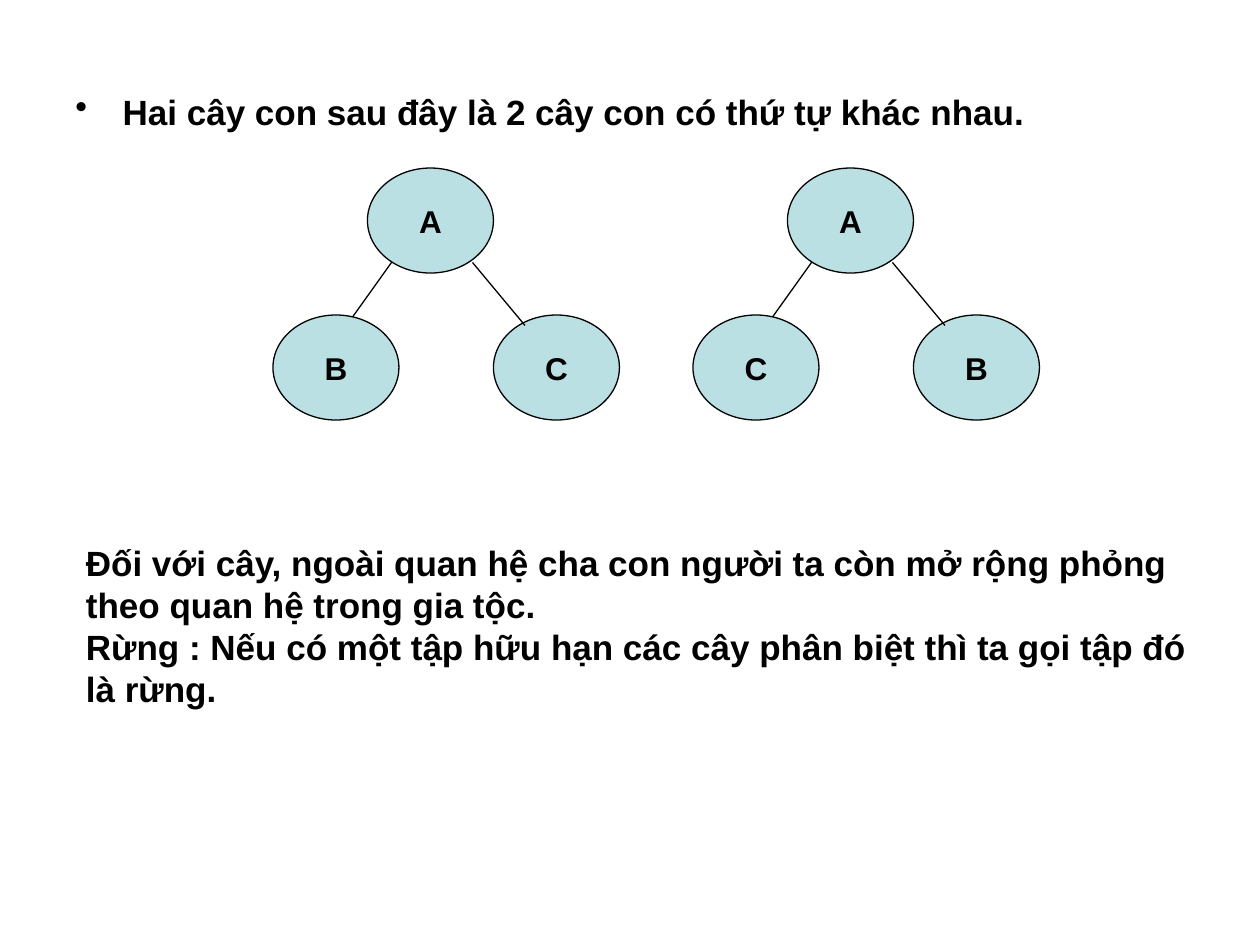
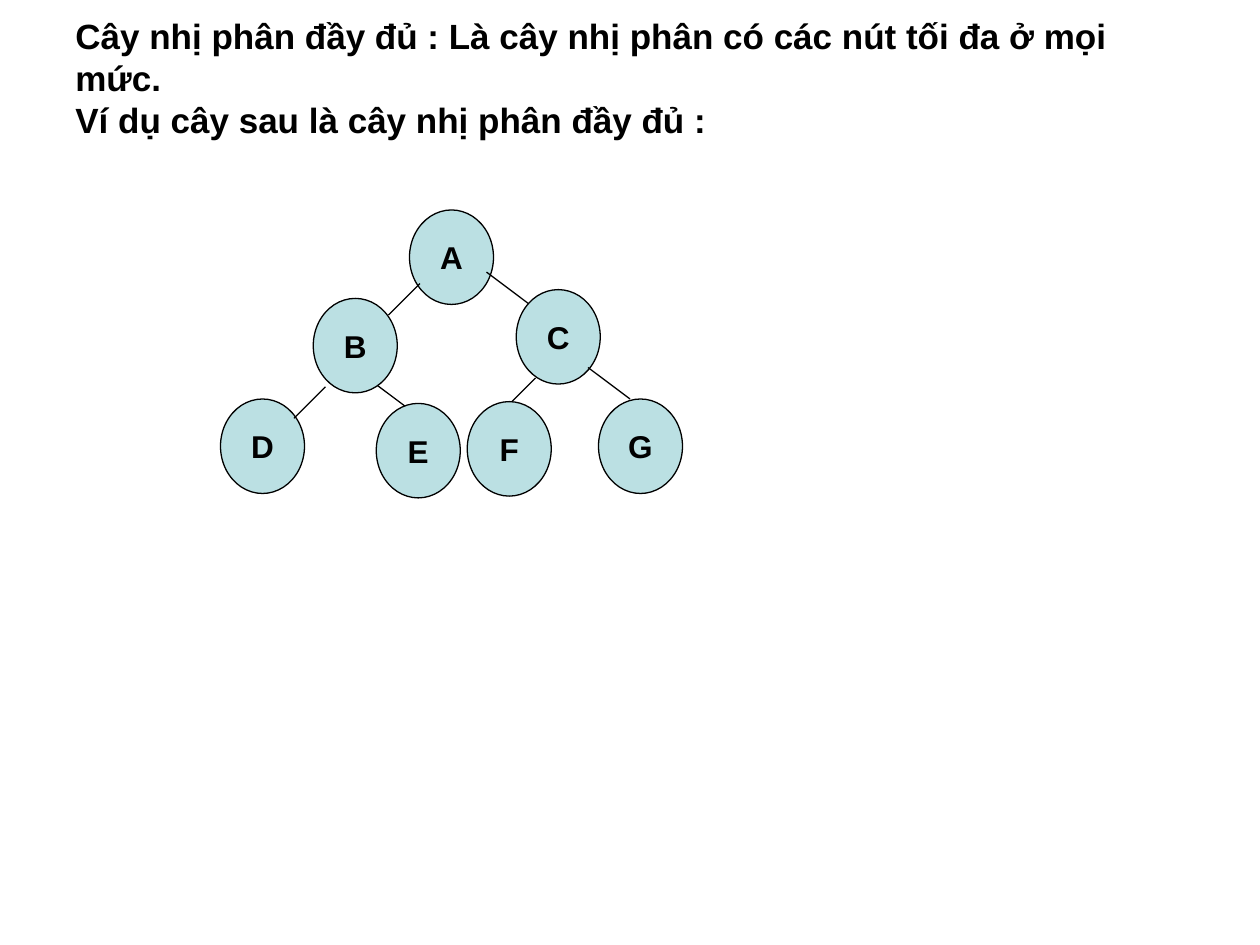
from dataclasses import dataclass

from lxml import etree
from pptx import Presentation
from pptx.dml.color import RGBColor
from pptx.enum.shapes import MSO_CONNECTOR, MSO_SHAPE
from pptx.enum.text import MSO_ANCHOR, MSO_AUTO_SIZE, PP_ALIGN
from pptx.oxml.ns import qn
from pptx.util import Pt

ELLIPSE = MSO_SHAPE.OVAL
STRAIGHT = MSO_CONNECTOR.STRAIGHT
TOP, MIDDLE = MSO_ANCHOR.TOP, MSO_ANCHOR.MIDDLE
LEFT, CENTER = PP_ALIGN.LEFT, PP_ALIGN.CENTER
NO_FIT, GROW = MSO_AUTO_SIZE.NONE, MSO_AUTO_SIZE.SHAPE_TO_FIT_TEXT


@dataclass(frozen=True)
class Theme:
    """Colours, font and sizes shared by the slides."""

    ink: RGBColor = RGBColor(0, 0, 0)
    node: RGBColor = RGBColor(0xBB, 0xE0, 0xE3)
    font: str = "Arial"
    body_size: float = 20
    node_size: float = 18
    line_width: float = 0.75
    bullet_indent: float = 27
    bullet_space: float = 5


@dataclass(frozen=True)
class TreeStyle:
    """Size of a node and reach of the left and right branches."""

    node: tuple
    left: tuple
    right: tuple


THEME = Theme()
WIDE_TREE = TreeStyle(node=(72, 60), left=(-30, 42), right=(30, 36))
FULL_TREE = TreeStyle(node=(48, 54), left=(-18, 18), right=(24, 18))


def write_text(shape, text, size=THEME.body_size, align=LEFT, anchor=TOP,
               wrap=True, fit=NO_FIT, bullet=False):
    """Fill a shape with bold text, one paragraph a line."""
    frame = shape.text_frame
    frame.word_wrap = wrap
    frame.auto_size = fit
    frame.vertical_anchor = anchor
    for index, line in enumerate(text.split("\n")):
        paragraph = frame.add_paragraph() if index else frame.paragraphs[0]
        paragraph.text = line
        paragraph.alignment = align
        if bullet:
            add_bullet(paragraph)
        for run in paragraph.runs:
            run.font.name = THEME.font
            run.font.size = Pt(size)
            run.font.bold = True
            run.font.color.rgb = THEME.ink


def add_bullet(paragraph):
    """Give a paragraph a round bullet with a hanging indent."""
    paragraph.space_before = Pt(THEME.bullet_space)
    properties = paragraph._p.get_or_add_pPr()
    properties.set("marL", str(Pt(THEME.bullet_indent)))
    properties.set("indent", str(-Pt(THEME.bullet_indent)))
    etree.SubElement(properties, qn("a:buChar")).set("char", "•")


def add_text(slide, box, text, **text_format):
    """Place a text box."""
    shape = slide.shapes.add_textbox(*map(Pt, box))
    write_text(shape, text, **text_format)


def add_node(group, box, label):
    """Draw a labelled ellipse."""
    shape = group.shapes.add_shape(ELLIPSE, *map(Pt, box))
    shape.shadow.inherit = False
    shape.fill.solid()
    shape.fill.fore_color.rgb = THEME.node
    shape.line.color.rgb = THEME.ink
    shape.line.width = Pt(THEME.line_width)
    write_text(shape, label, size=THEME.node_size, align=CENTER,
               anchor=MIDDLE, wrap=False)


def add_branch(group, x, y, reach):
    """Draw a branch from a point over a given reach."""
    connector = group.shapes.add_connector(
        STRAIGHT, Pt(x), Pt(y), Pt(x + reach[0]), Pt(y + reach[1]))
    connector.line.color.rgb = THEME.ink
    connector.line.width = Pt(THEME.line_width)
    etree.SubElement(connector._element.spPr, qn("a:effectLst"))


def add_tree(slide, left, top, style, parts):
    """Draw a tree's nodes and branches from back to front."""
    group = slide.shapes.add_group_shape()
    branches = {"/": style.left, "\\": style.right}
    for mark, x, y in parts:
        if mark in branches:
            add_branch(group, left + x, top + y, branches[mark])
        else:
            add_node(group, (left + x, top + y, *style.node), mark)


def add_ordered_tree(slide, left, top, left_child, right_child):
    """Draw a root A with two ordered children."""
    add_tree(slide, left, top, WIDE_TREE, [
        (right_child, 126, 84), ("/", 72, 48), ("A", 54, 0),
        ("\\", 114, 54), (left_child, 0, 84)])


def build_ordered_trees(slide):
    """Compare two trees whose children differ in order."""
    add_text(slide, (36, 48, 648, 356),
             "Hai cây con sau đây là 2 cây con có thứ tự khác nhau.",
             bullet=True)
    add_text(slide, (42, 306, 648, 104),
             "Đối với cây, ngoài quan hệ cha con người ta còn mở rộng phỏng "
             "theo quan hệ trong gia tộc.\n"
             "Rừng : Nếu có một tập hữu hạn các cây phân biệt thì ta gọi tập "
             "đó là rừng.", fit=GROW)
    for index, children in enumerate(("BC", "CB")):
        add_ordered_tree(slide, 156 + 240 * index, 96, *children)


def build_full_tree(slide):
    """Define the full binary tree and show an example."""
    add_text(slide, (36, 21.6, 648, 45),
             "Cây nhị phân đầy đủ : Là cây nhị phân có các nút tối đa ở mọi "
             "mức.\vVí dụ cây sau là cây nhị phân đầy đủ :", anchor=MIDDLE)
    add_tree(slide, 126, 120, FULL_TREE, [
        ("A", 108, 0), ("D", 0, 108), ("C", 169, 45.5), ("G", 216, 108),
        ("/", 114, 42), ("/", 60, 101), ("\\", 152, 35.5), ("\\", 84, 96),
        ("\\", 210, 90), ("E", 89, 110.5), ("/", 180, 96),
        ("B", 53, 50.5), ("F", 141, 109.5)])


def main():
    """Build and save the presentation."""
    presentation = Presentation()
    presentation.slide_width, presentation.slide_height = Pt(720), Pt(540)
    blank = presentation.slide_layouts[6]
    for build in (build_ordered_trees, build_full_tree):
        build(presentation.slides.add_slide(blank))
    presentation.save("out.pptx")


if __name__ == "__main__":
    main()
